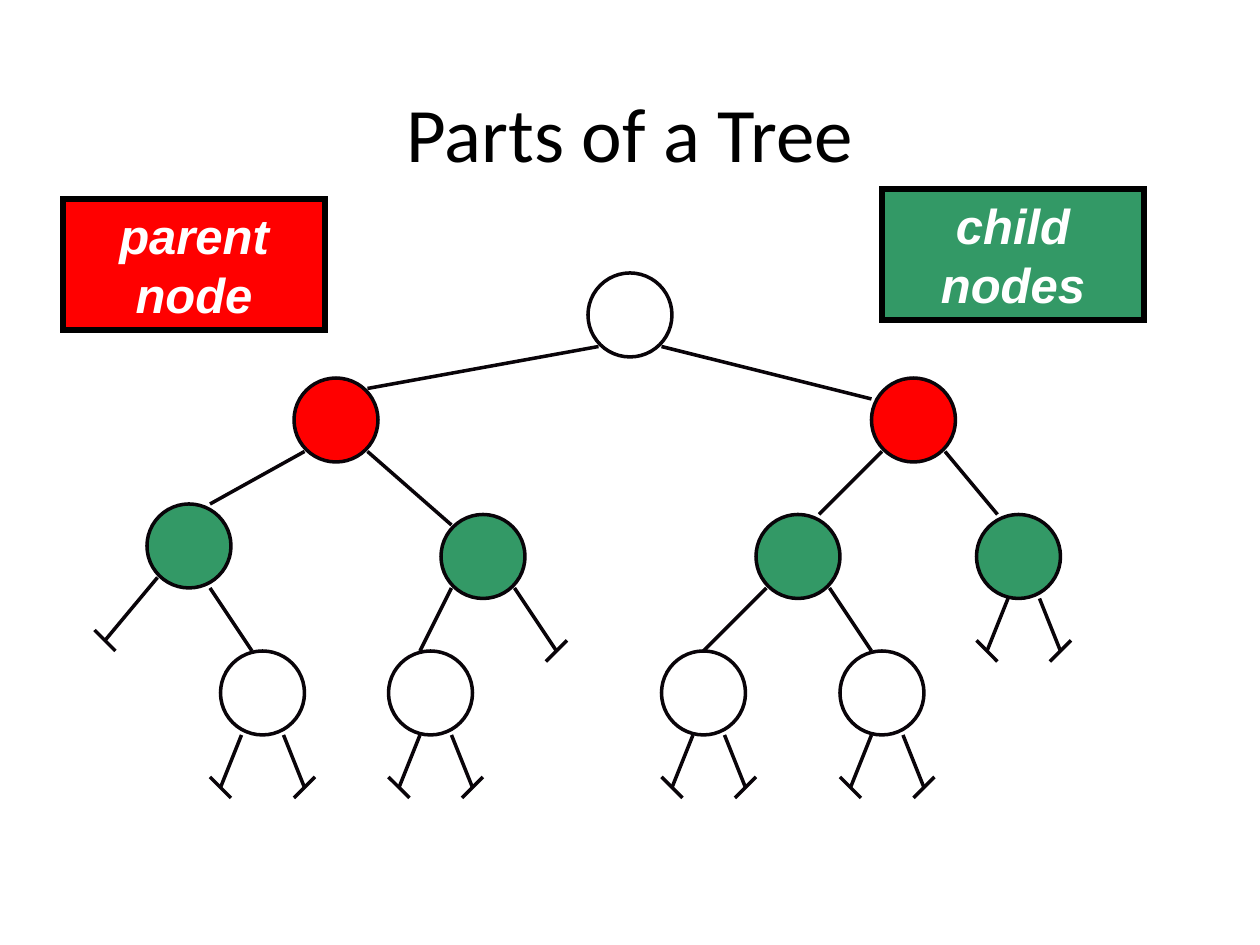
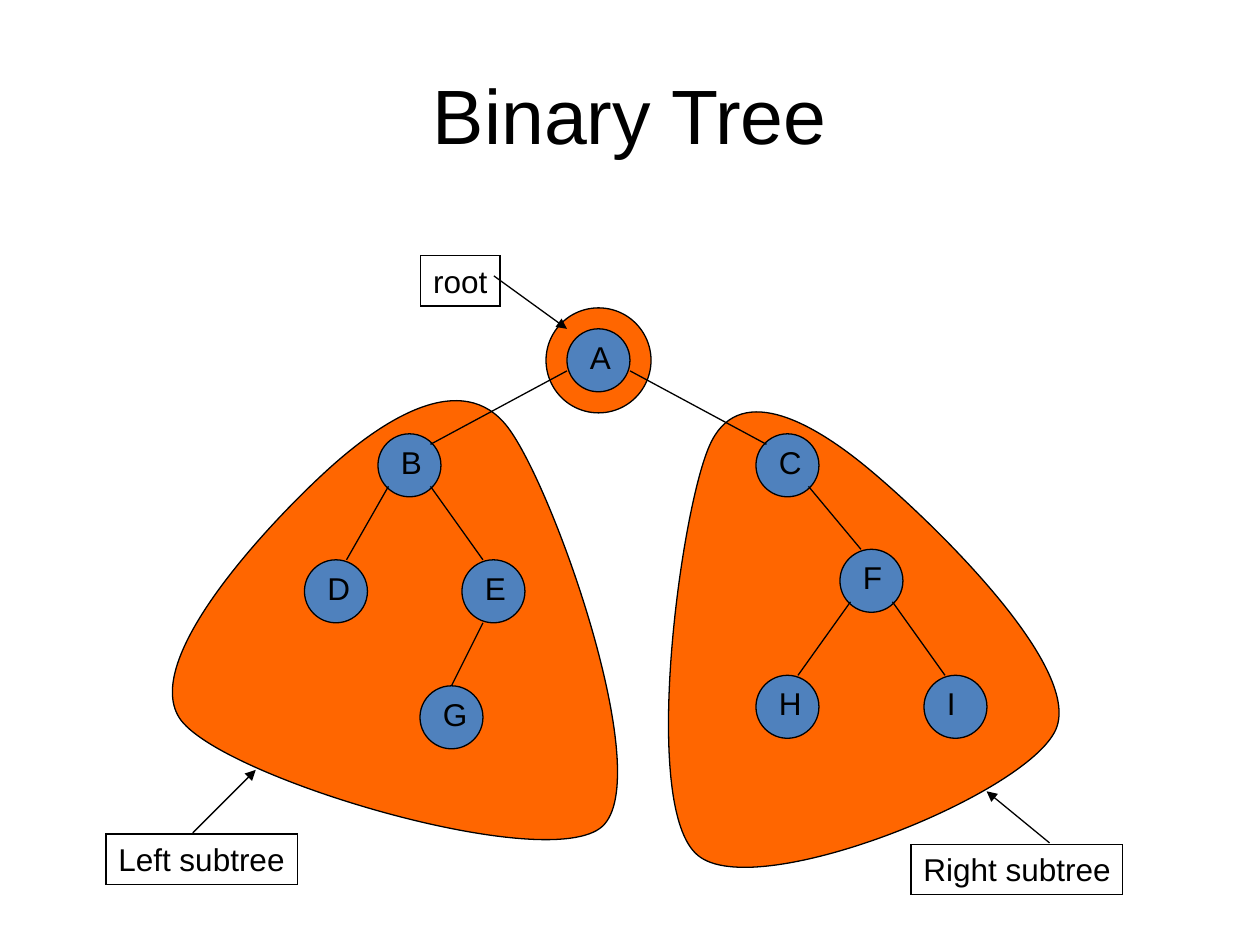
import pptx
import pptx.util
import pptx.dml.color
import pptx.enum.shapes
import pptx.enum.text
import pptx.oxml.ns
import lxml.etree

Inches = pptx.util.Inches
SHAPE = pptx.enum.shapes.MSO_SHAPE
ALIGN = pptx.enum.text.PP_ALIGN
ANCHOR = pptx.enum.text.MSO_ANCHOR

BLACK, WHITE, INK = "000000", "FFFFFF", "090409"
RED, GREEN, ORANGE, BLUE = "FF0000", "339966", "FF6600", "4F81BD"
STEP = 1 / 12  # tree positions are counted in twelfths of an inch


def color(value):
    return pptx.dml.color.RGBColor.from_string(value)


def on_grid(origin, spot):
    """Turn a grid spot into inches on the page."""
    return tuple(start + count * STEP for start, count in zip(origin, spot))


def add_element(parent, tag, **attributes):
    return lxml.etree.SubElement(parent, pptx.oxml.ns.qn(tag), **attributes)


def style_shape(shape, fill, line, width):
    shape.shadow.inherit = False
    if fill:
        shape.fill.solid()
        shape.fill.fore_color.rgb = color(fill)
    else:
        shape.fill.background()
    shape.line.color.rgb = color(line)
    shape.line.width = pptx.util.Pt(width)


def add_preset(page, kind, box, fill, line=BLACK, width=0.75):
    shape = page.shapes.add_shape(kind, *map(Inches, box))
    style_shape(shape, fill, line, width)
    if kind == SHAPE.RECTANGLE:
        add_element(shape.line._get_or_add_ln(), "a:miter", lim="800000")
    return shape


def write(shape, text, size, font="Arial", ink=BLACK, align=ALIGN.LEFT,
          anchor=ANCHOR.TOP, wrap=True, strong=False):
    frame = shape.text_frame
    frame.text = text
    frame.word_wrap = wrap
    frame.vertical_anchor = anchor
    para = frame.paragraphs[0]
    para.alignment = align
    span = para.runs[0]
    span.font.name = font
    span.font.size = pptx.util.Pt(size)
    span.font.color.rgb = color(ink)
    span.font.bold = span.font.italic = strong


def add_title(page, box, text, font):
    title = page.shapes.add_textbox(*map(Inches, box))
    write(title, text, 44, font, align=ALIGN.CENTER, anchor=ANCHOR.MIDDLE)


def add_line(page, start, end, ink=BLACK, width=0.75, arrow=False):
    line = page.shapes.add_connector(
        pptx.enum.shapes.MSO_CONNECTOR.STRAIGHT, *map(Inches, (*start, *end)))
    line.line.color.rgb = color(ink)
    line.line.width = pptx.util.Pt(width)
    if arrow:
        add_element(line.line._get_or_add_ln(), "a:tailEnd", type="triangle")
    add_element(line._element.spPr, "a:effectLst")


# Parts of a Tree

def add_legend(page, left, top, text, fill):
    legend = add_preset(page, SHAPE.RECTANGLE, (left, top, 2.08, 1.04),
                        fill, width=3)
    write(legend, text, 28, ink=WHITE, align=ALIGN.CENTER,
          anchor=ANCHOR.MIDDLE, strong=True)


def add_null_link(page, origin, start, end):
    """Draw a link that ends in a slanted bar."""
    x, y = end
    slope = 1 if x < start[0] else -1
    bar = (x - 1, y - slope), (x + 1, y + slope)
    for first, last in ((start, end), bar):
        add_line(page, on_grid(origin, first), on_grid(origin, last), INK, 2)


def add_parts_tree(page, origin):
    leaves = [(12, 36), (28, 36), (54, 36), (71, 36)]
    childless = (84, 23)
    levels = [
        (None, [(47, 0)] + leaves),
        (RED, [(19, 10), (74, 10)]),
        (GREEN, [(5, 22), (33, 23), (63, 23), childless]),
    ]
    links = [
        ((48, 7), (26, 11)), ((54, 7), (74, 12)),
        ((20, 17), (11, 22)), ((26, 17), (34, 24)),
        ((75, 17), (69, 23)), ((81, 17), (86, 23)),
        ((11, 30), (15, 36)), ((34, 30), (31, 36)),
        ((64, 30), (58, 36)), ((70, 30), (74, 36)),
    ]
    size = 8 * STEP
    for fill, spots in levels:
        for spot in spots:
            add_preset(page, SHAPE.OVAL, (*on_grid(origin, spot), size, size),
                       fill, INK, 2)
    for start, end in links:
        add_line(page, on_grid(origin, start), on_grid(origin, end), INK, 2)

    # Missing children
    add_null_link(page, origin, (6, 29), (1, 35))
    add_null_link(page, origin, (40, 30), (44, 36))
    for x, y in leaves + [childless]:
        shift = 1 if (x, y) == leaves[0] else 0
        add_null_link(page, origin, (x + 3 - shift, y + 8),
                      (x + 1 - shift, y + 13))
        add_null_link(page, origin, (x + 6, y + 8), (x + 8, y + 13))


def build_parts_page(page):
    add_title(page, (0.75, 5 * STEP, 8.5, 1.25), "Parts of a Tree", "Calibri")
    add_parts_tree(page, (9 * STEP, 26 * STEP))
    add_legend(page, 7, 1.5, "child nodes", GREEN)
    add_legend(page, 0.5, 1.58, "parent node", RED)


# Binary Tree

def add_subtree_area(page, origin, start, curves):
    """Draw a closed outline; each curve is two handles and an end point."""
    corners = [start] + [point for curve in curves for point in curve]
    outline = [tuple(Inches(base + offset)
                     for base, offset in zip(origin, corner))
               for corner in corners]
    builder = page.shapes.build_freeform(*outline[0])
    builder.add_line_segments(outline[1:], close=True)
    area = builder.convert_to_shape()
    style_shape(area, ORANGE, BLACK, 0.75)

    # Turn each three straight segments into one cubic curve
    segments = area._element.xpath(".//a:lnTo")
    for index in range(0, len(segments), 3):
        first, *others = segments[index:index + 3]
        first.tag = pptx.oxml.ns.qn("a:cubicBezTo")
        for segment in others:
            first.append(segment[0])
            segment.getparent().remove(segment)


def add_letter_node(page, origin, letter, spot):
    left, top = on_grid(origin, spot)
    add_preset(page, SHAPE.OVAL, (left, top, 0.5, 0.5), BLUE)
    width = 0.42 if letter in "DGI" else 0.33
    box = page.shapes.add_textbox(
        *map(Inches, (left + STEP, top + 0.02, width, 0.4)))
    write(box, letter, 18)


def add_binary_tree(page, origin):
    nodes = {"A": (25, 0), "B": (7, 10), "C": (43, 10), "D": (0, 22),
             "E": (15, 22), "F": (51, 21), "G": (11, 34), "H": (43, 33),
             "I": (59, 33)}
    links = [
        ((25, 4), (12, 11)), ((31, 4), (44, 11)),
        ((8, 15), (4, 22)), ((12, 15), (17, 22)), ((17, 28), (14, 34)),
        ((48, 15), (53, 21)), ((52, 26), (47, 33)), ((56, 26), (61, 33)),
    ]
    ring = 10 * STEP
    add_preset(page, SHAPE.OVAL, (*on_grid(origin, (23, -2)), ring, ring),
               ORANGE)
    for letter, spot in nodes.items():
        add_letter_node(page, origin, letter, spot)
    for start, end in links:
        add_line(page, on_grid(origin, start), on_grid(origin, end))


def add_callout(page, left, top, width, text, start, end):
    """Place a label with an arrow; arrow ends are relative to the label."""
    label = add_preset(page, SHAPE.RECTANGLE, (left, top, width, 0.4), None)
    write(label, text, 18, wrap=False)
    add_line(page, (left + start[0], top + start[1]),
             (left + end[0], top + end[1]), arrow=True)


def build_binary_page(page):
    # Subtree areas
    add_subtree_area(page, (5.08, 3.03), (0.55, 0.51), [
        ((0.32, 1.03), (0, 3.39), (0.46, 3.76)),
        ((0.92, 4.14), (3.07, 3.28), (3.3, 2.76)),
        ((3.52, 2.25), (2.25, 1.05), (1.8, 0.68)),
        ((1.34, 0.3), (0.77, 0), (0.55, 0.51)),
    ])
    add_subtree_area(page, (1.08, 2.92), (2.95, 0.47), [
        ((2.59, 0), (1.96, 0.41), (1.53, 0.8)),
        ((1.1, 1.19), (0, 2.33), (0.36, 2.8)),
        ((0.73, 3.27), (3.27, 4.02), (3.7, 3.64)),
        ((4.13, 3.25), (3.31, 0.94), (2.95, 0.47)),
    ])
    add_title(page, (0.5, 0.4, 9, 1), "Binary Tree", "Arial")
    add_binary_tree(page, (29 * STEP, 2.61))

    # Labels with arrows
    add_callout(page, 0.84, 6.62, 1.52, "Left subtree",
                (0.69, -0.01), (1.19, -0.51))
    add_callout(page, 3.34, 2.03, 0.63, "root", (0.58, 0.16), (1.16, 0.58))
    add_callout(page, 7.23, 6.7, 1.68, "Right subtree",
                (1.1, -0.01), (0.6, -0.42))


def main():
    deck = pptx.Presentation()
    deck.slide_width, deck.slide_height = Inches(10), Inches(7.5)
    for build in (build_parts_page, build_binary_page):
        build(deck.slides.add_slide(deck.slide_layouts[6]))
    deck.save("out.pptx")


if __name__ == "__main__":
    main()
